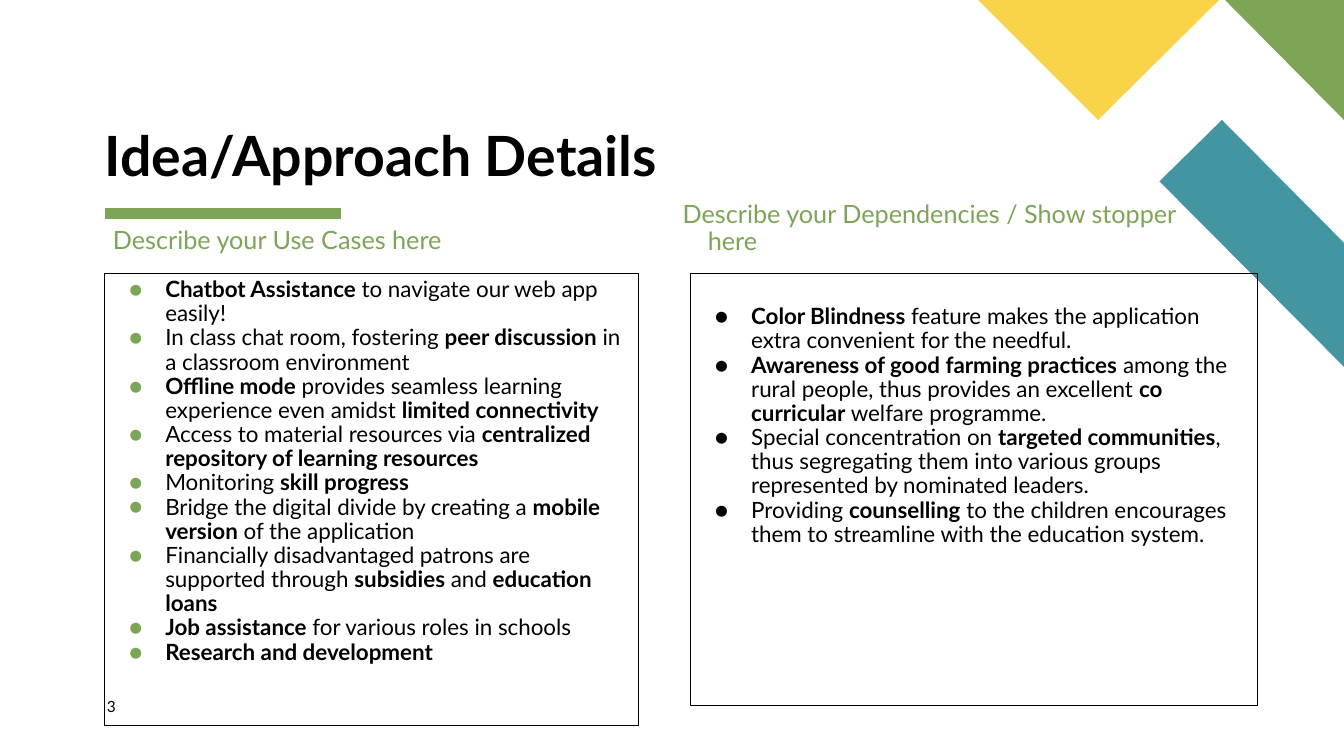
from lxml.etree import SubElement
from pptx import Presentation
from pptx.dml.color import RGBColor
from pptx.enum.text import MSO_ANCHOR, MSO_AUTO_SIZE, PP_ALIGN
from pptx.oxml.ns import qn
from pptx.util import Inches, Pt

WIDTH, HEIGHT = Inches(13.33), Inches(7.5)
FONT = "Lato"
COLORS = {"black": "000000", "green": "7CA655", "teal": "4495A2", "yellow": "F9D448"}
INSETS = (0.1, 0.05, 0.1, 0.05)
BOX_TOP = 36.13  # both list boxes start on this row

# Corner ornaments: colour and outline, in percent of the slide
ORNAMENTS = [
    ("teal", [(100, 48.53), (100, 32.13), (90.92, 15.87), (86.27, 24)]),
    ("green", [(100, 15.87), (100, 0), (91.15, 0)]),
    ("yellow", [(72.77, 0), (81.7, 15.87), (90.7, 0)]),
]

# Text between double asterisks is bold
USE_CASES = [
    "**Chatbot Assistance** to navigate our web app easily!",
    "In class chat room, fostering **peer discussion** in a classroom environment",
    "**Offline mode** provides seamless learning experience even amidst **limited connectivity**",
    "Access to material resources via **centralized repository of learning resources**",
    "Monitoring **skill progress**",
    "Bridge the digital divide by creating a **mobile version** of the application",
    "Financially disadvantaged patrons are supported through **subsidies** and **education loans**",
    "**Job assistance** for various roles in schools",
    "**Research and development**",
]
DEPENDENCIES = [
    "**Color Blindness** feature makes the application extra convenient for the needful.",
    "**Awareness of good farming practices** among the rural people, "
    "thus provides an excellent **co curricular** welfare programme.",
    "Special concentration on **targeted communities**, thus segregating them "
    "into various groups represented by nominated leaders.",
    "Providing **counselling** to the children encourages them to streamline "
    "with the education system.",
]


def across(percent):
    return round(WIDTH * percent / 100)


def down(percent):
    return round(HEIGHT * percent / 100)


def color(name):
    return RGBColor.from_string(COLORS[name])


def place(shape, left, top, width, height):
    shape.left, shape.top = across(left), down(top)
    shape.width, shape.height = across(width), down(height)


def set_indent(paragraph, margin, hanging, bullet=None):
    properties = paragraph._p.get_or_add_pPr()
    properties.set("marL", str(Inches(margin)))
    properties.set("indent", str(-Inches(hanging)))
    if bullet:
        bullet_color = SubElement(properties, qn("a:buClr"))
        SubElement(bullet_color, qn("a:srgbClr"), val=COLORS[bullet])
        SubElement(properties, qn("a:buFont"), typeface=FONT)
        SubElement(properties, qn("a:buChar"), char="●")


def write(shape, lines, size, tint="black", bold=False, insets=INSETS,
          anchor=MSO_ANCHOR.TOP, spacing=0.9, indent=None, bullet=None):
    frame = shape.text_frame
    frame.word_wrap = True
    frame.auto_size = MSO_AUTO_SIZE.NONE
    frame.vertical_anchor = anchor
    (frame.margin_left, frame.margin_top,
     frame.margin_right, frame.margin_bottom) = map(Inches, insets)
    for number, line in enumerate(lines):
        paragraph = frame.add_paragraph() if number else frame.paragraphs[0]
        paragraph.alignment = PP_ALIGN.LEFT
        paragraph.line_spacing = spacing
        paragraph.space_before = paragraph.space_after = Pt(0)
        if indent:
            set_indent(paragraph, *indent, bullet=bullet)
        for position, part in enumerate(line.split("**")):
            if part:
                run = paragraph.add_run()
                run.text = part
                run.font.name, run.font.size = FONT, Pt(size)
                run.font.bold = bold or position % 2 == 1
                run.font.color.rgb = color(tint)


def send_to_back(slide, shape):
    slide.shapes._spTree.insert(2, shape._element)


def add_ornament(slide, tint, corners):
    points = [(across(x), down(y)) for x, y in corners]
    builder = slide.shapes.build_freeform(*points[0], scale=1.0)
    builder.add_line_segments(points[1:], close=True)
    shape = builder.convert_to_shape()
    shape.shadow.inherit = False
    shape.fill.solid()
    shape.fill.fore_color.rgb = color(tint)
    shape.line.fill.background()
    send_to_back(slide, shape)


def add_title_rule(slide):
    rule = slide.shapes.add_connector(1, across(7.8), down(28.27), across(25.36), down(28.27))
    rule.line.color.rgb = color("green")
    rule.line.width = Pt(8)
    SubElement(rule._element.spPr, qn("a:effectLst"))
    send_to_back(slide, rule)


def fill_caption(shape, text, *area):
    place(shape, *area)
    write(shape, [text], 18, tint="green", indent=(0.25, 0.25))


def fill_list(shape, items, left, width, height, bullet, insets=INSETS):
    place(shape, left, BOX_TOP, width, height)
    shape.line.color.rgb = color("black")
    shape.line.width = Pt(0.75)
    write(shape, items, 16, indent=(0.5, 0.36), bullet=bullet, insets=insets)


def main():
    presentation = Presentation()
    presentation.slide_width, presentation.slide_height = WIDTH, HEIGHT
    slide = presentation.slides.add_slide(presentation.slide_layouts.get_by_name("Comparison"))
    title, left_caption, left_list, right_caption, right_list = slide.placeholders

    # Decoration behind the text
    for tint, corners in ORNAMENTS:
        add_ornament(slide, tint, corners)
    add_title_rule(slide)

    # Title
    place(title, 7.8, 16, 47.41, 8.93)
    write(title, ["Idea/Approach Details"], 39.6, bold=True,
          insets=(0, 0, 0, 0), anchor=MSO_ANCHOR.BOTTOM)

    # Use cases on the left
    fill_caption(left_caption, "Describe your Use Cases here", 7.65, 29.47, 39.68, 4.67)
    fill_list(left_list, USE_CASES, 7.8, 39.68, 59.87, "green")

    # Dependencies on the right, starting one line lower in the box
    fill_caption(right_caption, "Describe your Dependencies / Show stopper here",
                 50.04, 26, 42.16, 4.67)
    fill_list(right_list, DEPENDENCIES, 51.39, 42.16, 57.2, "black",
              insets=(0.1, 0.32, 0.1, 0.05))

    # Slide number
    number = slide.shapes.add_textbox(across(7.95), down(92.27), across(4.28), down(3.6))
    write(number, ["3"], 11, insets=(0, 0, 0, 0), spacing=1.0)

    presentation.save("out.pptx")


if __name__ == "__main__":
    main()
